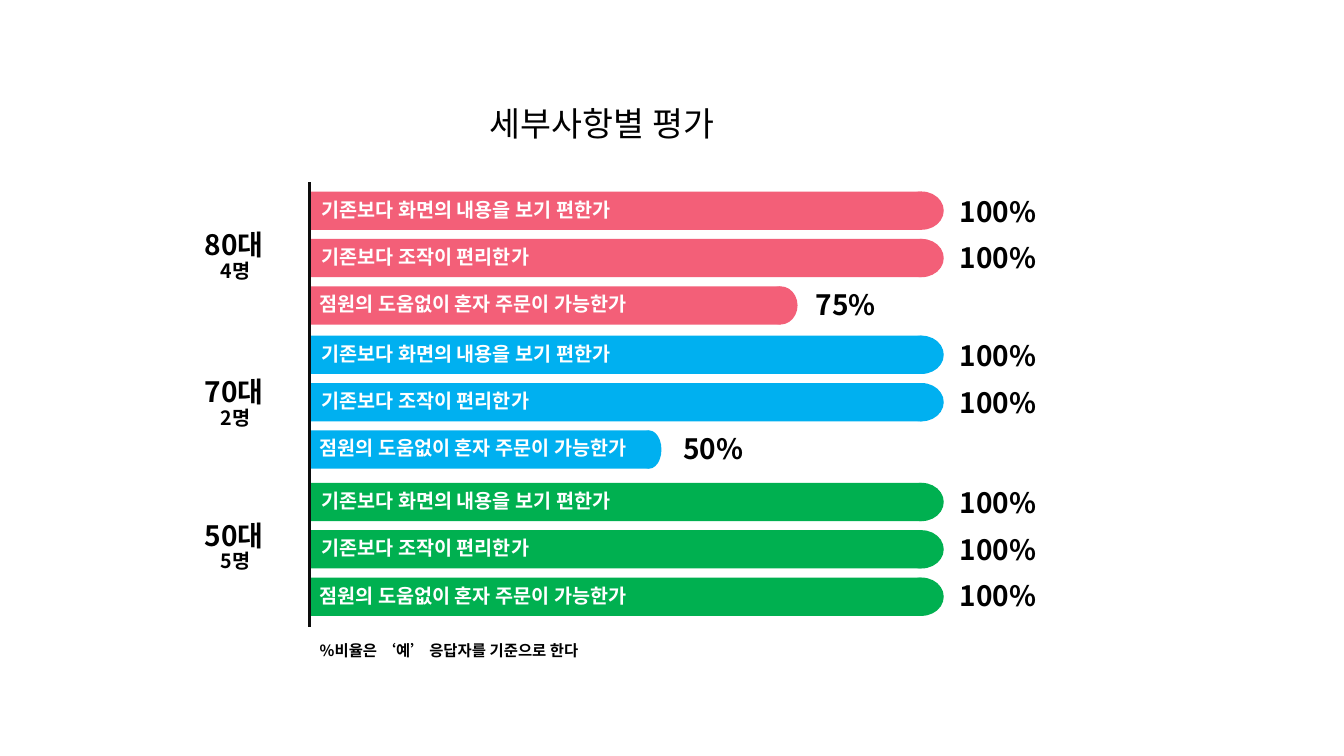
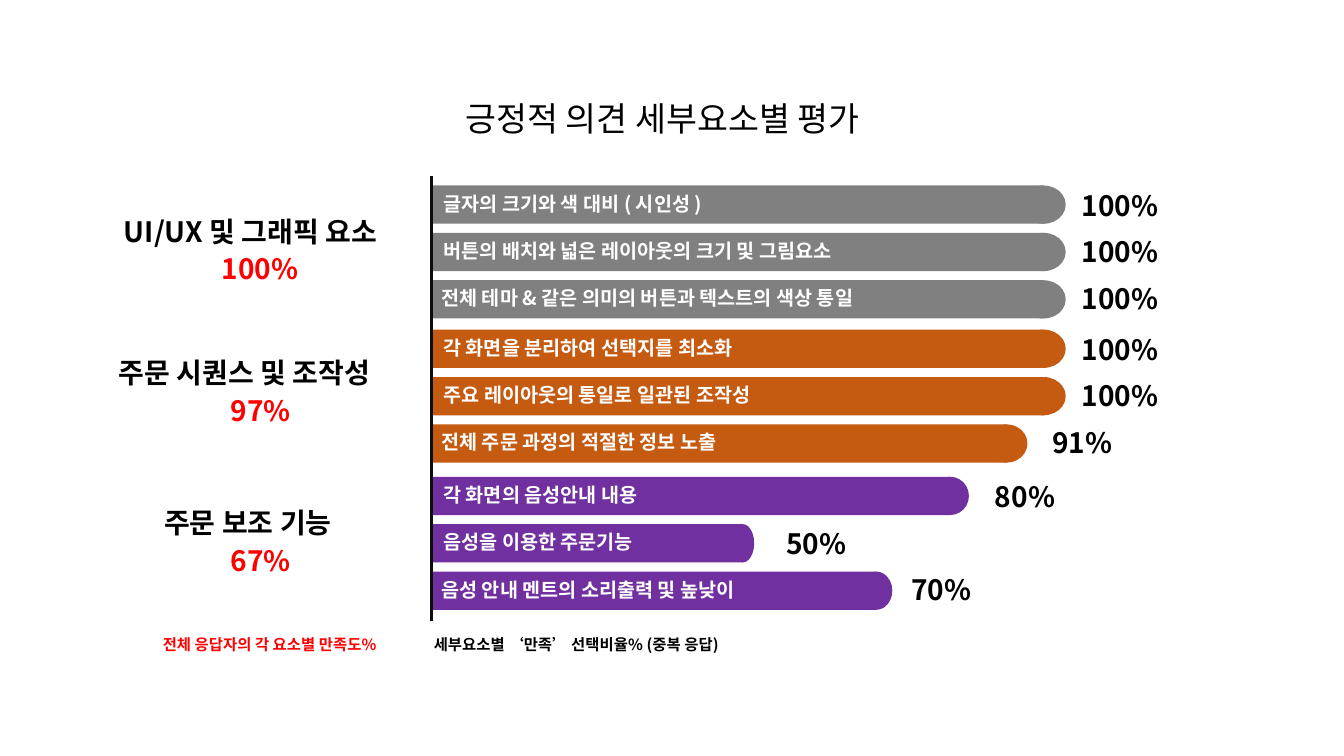
from lxml import etree
from pptx import Presentation
from pptx.dml.color import RGBColor
from pptx.enum import shapes, text
from pptx.oxml import ns
from pptx.util import Inches, Pt

FONT = "Noto Sans CJK KR"
BLACK = RGBColor(0x00, 0x00, 0x00)
WHITE = RGBColor(0xFF, 0xFF, 0xFF)
RED = RGBColor(0xFF, 0x00, 0x00)
AXIS = RGBColor(0x0D, 0x0D, 0x0D)
PINK = RGBColor(0xF3, 0x5F, 0x78)
BLUE = RGBColor(0x00, 0xB0, 0xF0)
GREEN = RGBColor(0x00, 0xB0, 0x50)
GRAY = RGBColor(0x80, 0x80, 0x80)
ORANGE = RGBColor(0xC5, 0x5A, 0x11)
PURPLE = RGBColor(0x70, 0x30, 0xA0)

GROUP_TOPS = (0.09, 1.52, 2.98)
ROW_STEP = 0.47
BAR_HEIGHT = 0.38
FULL_LENGTH = 6.28
TIP_SHARE = 0.07
AXIS_HEIGHT = 4.41


class RatingDeck:
    """Rating slides with rounded bars along a vertical axis."""

    def __init__(self):
        self.deck = Presentation()
        self.deck.slide_width, self.deck.slide_height = Inches(13.33), Inches(7.5)
        self.slide = None

    def start(self, title, left, top):
        self.slide = self.deck.slides.add_slide(self.deck.slide_layouts[5])
        heading = self.slide.shapes.title
        heading.left, heading.top = Inches(left), Inches(top)
        heading.width, heading.height = Inches(6.1), Inches(0.5)
        self.set_text(heading.text_frame, title, 24, BLACK, False, True)

    def set_text(self, frame, words, size, color, bold=True, centred=False):
        frame.text = words
        frame.word_wrap = True
        frame.auto_size = text.MSO_AUTO_SIZE.NONE
        frame.vertical_anchor = text.MSO_ANCHOR.TOP
        line = frame.paragraphs[0]
        line.alignment = text.PP_ALIGN.CENTER if centred else text.PP_ALIGN.LEFT
        for run in line.runs:
            run.font.size, run.font.bold = Pt(size), bold
            run.font.color.rgb = color
            run.font.name = FONT
            etree.SubElement(run.font._element, ns.qn("a:ea"), typeface=FONT)

    def label(self, words, left, top, width, size=20, color=BLACK, centred=False):
        box = self.slide.shapes.add_textbox(
            Inches(left), Inches(top), Inches(width), Inches(0.1 + size / 60))
        self.set_text(box.text_frame, words, size, color, centred=centred)

    def fill(self, kind, left, top, width, color):
        part = self.slide.shapes.add_shape(
            kind, Inches(left), Inches(top), Inches(width), Inches(BAR_HEIGHT))
        part.shadow.inherit = False
        part.fill.solid()
        part.fill.fore_color.rgb = color
        part.line.fill.background()

    def bar(self, left, top, length, color):
        tip = length * TIP_SHARE
        self.fill(shapes.MSO_SHAPE.RECTANGLE, left, top, length - tip / 2, color)
        self.fill(shapes.MSO_SHAPE.OVAL, left + length - tip, top, tip, color)

    def axis(self, left, top):
        line = self.slide.shapes.add_connector(
            shapes.MSO_CONNECTOR.STRAIGHT, Inches(left), Inches(top),
            Inches(left), Inches(top + AXIS_HEIGHT))
        line.line.color.rgb, line.line.width = AXIS, Pt(2.25)
        etree.SubElement(line._element.spPr, ns.qn("a:effectLst"))

    def bars(self, left, top, groups):
        for offset, (color, rows) in zip(GROUP_TOPS, groups):
            for row, (words, percent, length, gap) in enumerate(rows):
                y = top + offset + row * ROW_STEP
                start = left + (0.02 if row < 2 else 0)
                self.bar(left + 0.01, y, length, color)
                self.label(words, start, y + 0.01, 6, 14, WHITE)
                self.label(f"{percent}%", left + length + gap,
                           y - 0.02 - row * 0.01, 1.06)
        self.axis(left, top)


def full(words):
    return words, 100, FULL_LENGTH, 0.07


def age_slide(deck):
    screen = full("기존보다 화면의 내용을 보기 편한가")
    control = full("기존보다 조작이 편리한가")
    alone = "점원의 도움없이 혼자 주문이 가능한가"
    deck.start("세부사항별 평가", 2.92, 0.97)
    deck.bars(3.07, 1.81, [
        (PINK, [screen, control, (alone, 75, 4.83, 0.09)]),
        (BLUE, [screen, control, (alone, 50, 3.48, 0.13)]),
        (GREEN, [screen, control, full(alone)]),
    ])
    for age, people, top in (("80대", "4명", 2.21), ("70대", "2명", 3.67),
                             ("50대", "5명", 5.09)):
        deck.label(age, 1.93, top, 0.92)
        deck.label(people, 2.09, top + 0.31, 0.54, 14)
    deck.label("%비율은 ‘예’ 응답자를 기준으로 한다", 2.83, 6.31, 3.25, 11, centred=True)


def opinion_slide(deck):
    deck.start("긍정적 의견 세부요소별 평가", 3.52, 0.92)
    deck.bars(4.28, 1.75, [
        (GRAY, [full("글자의 크기와 색 대비 ( 시인성 )"),
                full("버튼의 배치와 넓은 레이아웃의 크기 및 그림요소"),
                full("전체 테마 & 같은 의미의 버튼과 텍스트의 색상 통일")]),
        (ORANGE, [full("각 화면을 분리하여 선택지를 최소화"),
                  full("주요 레이아웃의 통일로 일관된 조작성"),
                  ("전체 주문 과정의 적절한 정보 노출", 91, 5.9, 0.16)]),
        (PURPLE, [("각 화면의 음성안내 내용", 80, 5.32, 0.17),
                  ("음성을 이용한 주문기능", 50, 3.19, 0.23),
                  ("음성 안내 멘트의 소리출력 및 높낮이", 70, 4.56, 0.1)]),
    ])
    for factor, left, percent, percent_left, top in (
            ("UI/UX 및 그래픽 요소", 1.13, "100%", 2.1, 2.08),
            ("주문 시퀀스 및 조작성", 1.08, "97%", 2.19, 3.48),
            ("주문 보조 기능", 1.53, "67%", 2.19, 4.97)):
        deck.label(factor, left, top, 3.28)
        deck.label(percent, percent_left, top + 0.37, 1.06, color=RED)
    deck.label("세부요소별 ‘만족’ 선택비율% (중복 응답)", 4.09, 6.25, 3.25, 11, centred=True)
    deck.label("전체 응답자의 각 요소별 만족도%", 1.05, 6.25, 3.25, 11, RED, True)


def main():
    rating = RatingDeck()
    age_slide(rating)
    opinion_slide(rating)
    rating.deck.save("out.pptx")


if __name__ == "__main__":
    main()
